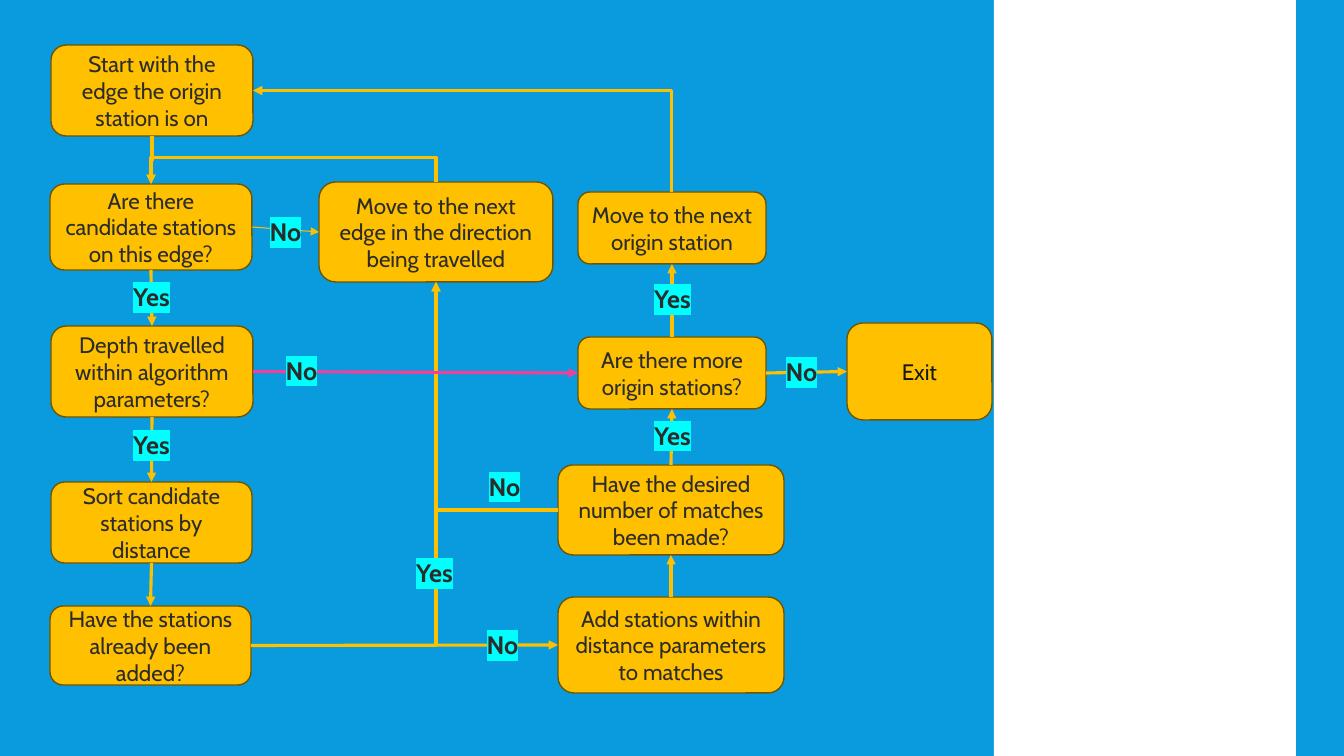
import pptx
import pptx.dml.color
import pptx.enum.shapes
import pptx.enum.text
import pptx.oxml
import pptx.oxml.ns
import pptx.util

qn = pptx.oxml.ns.qn
TOP, LEFT, BOTTOM, RIGHT = range(4)
COLOURS = {
    "sky": "099BDD",
    "panel": "FFFFFF",
    "amber": "FFC000",
    "brown": "705400",
    "ink": "2C2C2C",
    "black": "181818",
    "cyan": "00FFFF",
    "pink": "F24099",
}


def px(length):
    return round(length * 12192000 / 1344)


def colour(name):
    return pptx.dml.color.RGBColor.from_string(COLOURS[name])


def add_xml(parent, tag, **attributes):
    element = pptx.oxml.parse_xml(f"<{tag} {pptx.oxml.ns.nsdecls('a')}/>")
    for name, value in attributes.items():
        element.set(name, str(value))
    parent.append(element)
    return element


class Flowchart:
    """Draws the boxes, links and labels of a flowchart on one page."""

    box_font = {"name": "Cabin", "size": pptx.util.Pt(16)}
    label_font = {"name": "Cabin", "size": pptx.util.Pt(18), "bold": True}

    def __init__(self, page):
        self.page = page
        page.background.fill.solid()
        page.background.fill.fore_color.rgb = colour("sky")

    def shape(self, kind, bounds, fill):
        shape = self.page.shapes.add_shape(kind, *map(px, bounds))
        shape.shadow.inherit = False
        shape.fill.solid()
        shape.fill.fore_color.rgb = colour(fill)
        shape.line.fill.background()
        return shape

    def panel(self, *bounds):
        return self.shape(pptx.enum.shapes.MSO_SHAPE.RECTANGLE, bounds, "panel")

    def put_text(self, shape, text, font, ink):
        frame = shape.text_frame
        frame.word_wrap = True
        para = frame.paragraphs[0]
        para.alignment = pptx.enum.text.PP_ALIGN.CENTER
        span = para.add_run()
        span.text = text
        span.font.color.rgb = colour(ink)
        for name, value in font.items():
            setattr(span.font, name, value)
        return span

    def box(self, text, *bounds, ink="ink"):
        box = self.shape(pptx.enum.shapes.MSO_SHAPE.ROUNDED_RECTANGLE, bounds, "amber")
        box.line.color.rgb = colour("brown")
        box.line.width = pptx.util.Pt(1)
        box.text_frame.vertical_anchor = pptx.enum.text.MSO_ANCHOR.MIDDLE
        self.put_text(box, text, self.box_font, ink)
        return box

    def label(self, text, left, top):
        box = self.page.shapes.add_textbox(*map(px, (left, top, 71, 41)))
        properties = self.put_text(box, text, self.label_font, "ink")._r.rPr
        highlight = add_xml(properties, "a:highlight")
        add_xml(highlight, "a:srgbClr", val=COLOURS["cyan"])
        properties.find(qn("a:solidFill")).addnext(highlight)

    def link(self, start, start_side, end, end_side, ink="amber", weight=2.25):
        straight = pptx.enum.shapes.MSO_CONNECTOR.STRAIGHT
        line = self.page.shapes.add_connector(straight, 0, 0, 0, 0)
        line.begin_connect(start, start_side)
        line.end_connect(end, end_side)
        line.line.color.rgb = colour(ink)
        line.line.width = pptx.util.Pt(weight)
        properties = line._element.spPr
        add_xml(properties.find(qn("a:ln")), "a:tailEnd", type="triangle")
        add_xml(properties, "a:effectLst")
        return line

    def elbow(self, start, start_side, end, end_side, turn=None):
        line = self.link(start, start_side, end, end_side)
        geometry = line._element.spPr.find(qn("a:prstGeom"))
        geometry.set("prst", "bentConnector2" if turn is None else "bentConnector3")
        if turn is not None:
            ratio = (px(turn) - line.begin_y) / (line.end_y - line.begin_y)
            guides = geometry.get_or_add_avLst()
            add_xml(guides, "a:gd", name="adj1", fmla=f"val {round(ratio * 100000)}")
        if start_side in (TOP, BOTTOM):
            self.turn_quarter(line)

    def turn_quarter(self, line):
        across, down = line.end_x - line.begin_x, line.end_y - line.begin_y
        middle_x = (line.begin_x + line.end_x) // 2
        middle_y = (line.begin_y + line.end_y) // 2
        ends = {
            "begin_x": middle_x - down // 2,
            "begin_y": middle_y + across // 2,
            "end_x": middle_x + down // 2,
            "end_y": middle_y - across // 2,
        }
        for name, value in ends.items():
            setattr(line, name, value)
        line._element.spPr.find(qn("a:xfrm")).set("rot", "5400000")


def main():
    deck = pptx.Presentation()
    deck.slide_width, deck.slide_height = px(1344), px(756)
    chart = Flowchart(deck.slides.add_slide(deck.slide_layouts[6]))
    chart.panel(994, 0, 302, 756)

    start = chart.box("Start with the edge the origin station is on", 51, 45, 202, 91)
    candidates = chart.box("Are there candidate stations on this edge?", 50, 184, 202, 86)
    depth = chart.box("Depth travelled within algorithm parameters?", 51, 326, 202, 91)
    sort = chart.box("Sort candidate stations by distance", 51, 482, 201, 81)
    added = chart.box("Have the stations already been added?", 50, 606, 201, 79)
    add = chart.box("Add stations within distance parameters to matches", 558, 597, 226, 96)
    matched = chart.box("Have the desired number of matches been made?", 558, 465, 226, 90)
    next_edge = chart.box("Move to the next edge in the direction being travelled", 319, 182, 234, 100)
    next_origin = chart.box("Move to the next origin station", 578, 192, 188, 72)
    more = chart.box("Are there more origin stations?", 578, 337, 188, 72)
    leave = chart.box("Exit", 847, 323, 145, 97, ink="black")

    for upper, lower in ((candidates, depth), (depth, sort), (sort, added)):
        chart.link(upper, BOTTOM, lower, TOP)
    for lower, upper in ((add, matched), (matched, more), (more, next_origin)):
        chart.link(lower, TOP, upper, BOTTOM)
    chart.link(candidates, RIGHT, next_edge, LEFT, weight=0.75)
    chart.link(more, RIGHT, leave, LEFT)
    chart.link(added, RIGHT, add, LEFT)
    chart.elbow(start, BOTTOM, candidates, TOP, turn=160)
    chart.elbow(next_edge, TOP, candidates, TOP, turn=157)
    chart.elbow(next_origin, TOP, start, RIGHT)
    chart.elbow(added, RIGHT, next_edge, BOTTOM)
    chart.elbow(matched, LEFT, next_edge, BOTTOM)
    chart.link(depth, RIGHT, more, LEFT, ink="pink")

    answers = {
        "No": ((250, 211), (467, 624), (469, 466), (766, 351), (266, 350)),
        "Yes": ((399, 552), (637, 415), (637, 278), (116, 276), (116, 424)),
    }
    for answer, places in answers.items():
        for left, top in places:
            chart.label(answer, left, top)
    deck.save("out.pptx")


if __name__ == "__main__":
    main()
